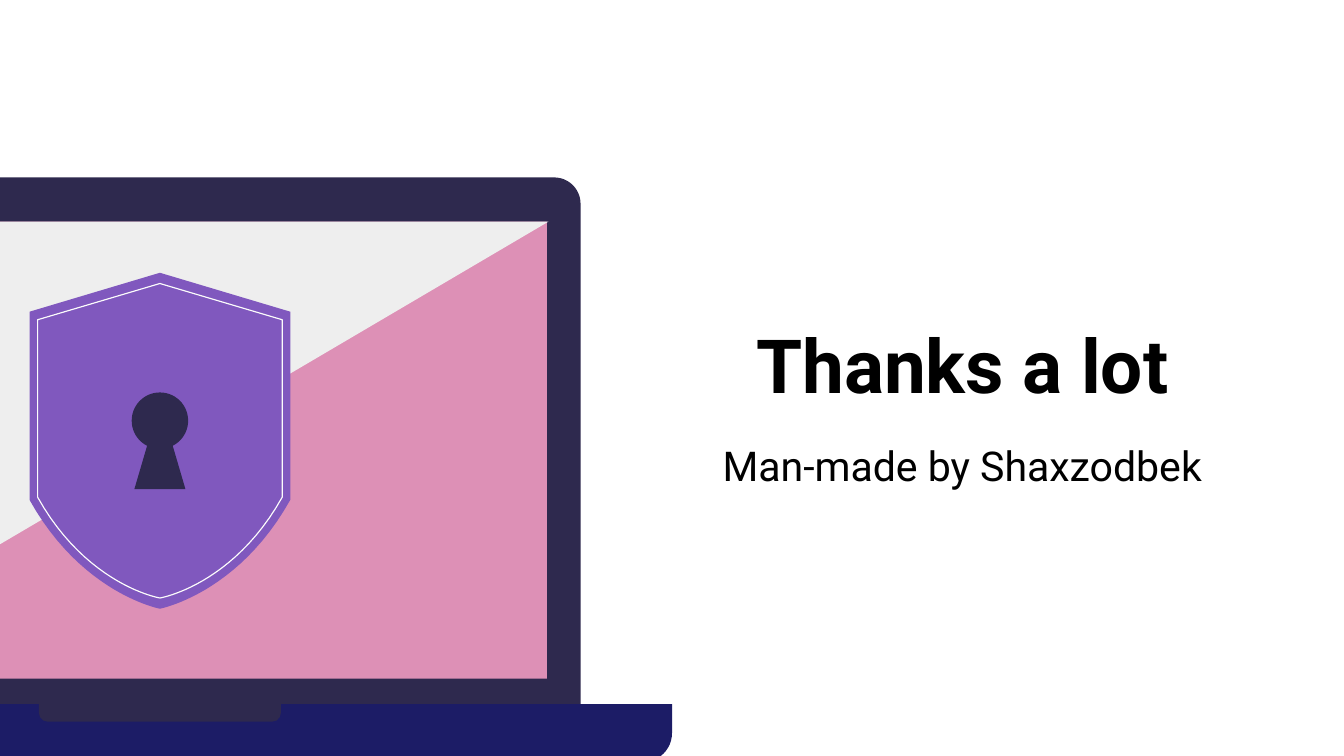
from dataclasses import dataclass
from math import cos, radians, sin

from pptx import Presentation
from pptx.dml.color import RGBColor
from pptx.enum.shapes import MSO_SHAPE as Preset
from pptx.enum.text import MSO_ANCHOR as Anchor, MSO_AUTO_SIZE as AutoSize, PP_ALIGN as Align
from pptx.util import Inches, Pt

Point = tuple[float, float]


@dataclass(frozen=True)
class Theme:
    font: str = "Roboto"
    title_size: float = 40
    subtitle_size: float = 22
    text: str = "000000"
    dark: str = "2E294E"
    base: str = "1C1C66"
    screen: str = "DD90B6"
    glare: str = "EEEEEE"
    shield: str = "8058BE"
    rim: str = "FCFCFC"
    rim_width: float = 0.61


@dataclass(frozen=True)
class Panel:
    preset: Preset
    left: float
    top: float
    width: float
    height: float
    color: str
    rounding: tuple[float, ...] = ()


@dataclass(frozen=True)
class Outline:
    points: list[Point]
    fill: str | None = None
    line: str | None = None


THEME = Theme()
SHIELD_CENTER = 1.19
CURVE_STEPS = 24


def write_text(box, text: str, *, at: tuple[float, ...], size: float,
               bold: bool = False, anchor: Anchor = Anchor.TOP) -> None:
    box.left, box.top, box.width, box.height = (Inches(length) for length in at)
    frame = box.text_frame
    frame.auto_size = AutoSize.NONE
    frame.word_wrap = True
    frame.vertical_anchor = anchor
    frame.margin_left = frame.margin_right = Inches(0.1)
    frame.margin_top = frame.margin_bottom = Inches(0.1)
    para = frame.paragraphs[0]
    para.alignment = Align.CENTER
    para.space_before = Pt(0)
    span = para.add_run()
    span.text = text
    span.font.name = THEME.font
    span.font.size = Pt(size)
    span.font.bold = bold
    span.font.color.rgb = RGBColor.from_string(THEME.text)


def paint(shape, fill: str | None, line: str | None = None) -> None:
    shape.shadow.inherit = False
    if fill:
        shape.fill.solid()
        shape.fill.fore_color.rgb = RGBColor.from_string(fill)
    else:
        shape.fill.background()
    if line:
        shape.line.color.rgb = RGBColor.from_string(line)
        shape.line.width = Pt(THEME.rim_width)
    else:
        shape.line.fill.background()


def draw_panel(page, panel: Panel) -> None:
    lengths = (panel.left, panel.top, panel.width, panel.height)
    shape = page.shapes.add_shape(panel.preset, *(Inches(length) for length in lengths))
    for index, amount in enumerate(panel.rounding):
        shape.adjustments[index] = amount
    paint(shape, panel.color)


def draw_outline(page, outline: Outline) -> None:
    start, *rest = [(Inches(x), Inches(y)) for x, y in outline.points]
    builder = page.shapes.build_freeform(*start)
    builder.add_line_segments(rest, close=True)
    paint(builder.convert_to_shape(), outline.fill, outline.line)


def curve(start: Point, control: Point, end: Point) -> list[Point]:
    points = []
    for step in range(CURVE_STEPS + 1):
        t = step / CURVE_STEPS
        weights = ((1 - t) ** 3, 3 * t * (1 - t) ** 2, 3 * t ** 2 * (1 - t) + t ** 3)
        x, y = (sum(w * p[axis] for w, p in zip(weights, (start, control, end)))
                for axis in (0, 1))
        points.append((x, y))
    return points


def shield_points(half: float, peak: float, shoulder: float, waist: float,
                  control: Point, tip: float) -> list[Point]:
    center = SHIELD_CENTER
    left = [(center, peak), (center - half, shoulder)]
    left += curve((center - half, waist), (center - control[0], control[1]), (center, tip))
    right = [(2 * center - x, y) for x, y in reversed(left[1:-1])]
    return left + right


def keyhole_points(middle: float, radius: float, foot: float, half_foot: float) -> list[Point]:
    opening = 27
    sweep = 360 - 2 * opening
    angles = [radians(opening + sweep * step / 48) for step in range(49)]
    arc = [(SHIELD_CENTER + radius * sin(a), middle + radius * cos(a)) for a in angles]
    return arc + [(SHIELD_CENTER - half_foot, foot), (SHIELD_CENTER + half_foot, foot)]


def main() -> None:
    deck = Presentation()
    deck.slide_width = Inches(10)
    deck.slide_height = deck.slide_width * 9 // 16
    page = deck.slides.add_slide(deck.slide_layouts[0])

    write_text(page.shapes.title, "Thanks a lot", at=(5.21, 1.58, 3.9, 1.56),
               size=THEME.title_size, bold=True, anchor=Anchor.BOTTOM)
    write_text(page.placeholders[1], "Man-made by Shaxzodbek", at=(5.21, 3.18, 3.9, 0.87),
               size=THEME.subtitle_size)

    rounded = Preset.ROUND_2_SAME_RECTANGLE
    laptop = [
        Panel(rounded, -1.95, 1.32, 6.27, 3.92, THEME.dark, (0.05, 0)),
        Panel(Preset.RECTANGLE, -1.7, 1.65, 5.77, 3.4, THEME.screen),
        Panel(rounded, -2.62, 5.24, 7.62, 0.43, THEME.base, (0, 0.5)),
        Panel(rounded, 0.29, 5.24, 1.8, 0.13, THEME.dark, (0, 0.5)),
    ]
    for panel in laptop:
        draw_panel(page, panel)

    emblem = [
        Outline([(-1.7, 1.65), (-1.7, 5.05), (4.08, 1.65)], fill=THEME.glare),
        Outline(shield_points(0.97, 2.03, 2.32, 3.72, (0.58, 4.42), 4.53), fill=THEME.shield),
        Outline(shield_points(0.91, 2.11, 2.38, 3.7, (0.54, 4.36), 4.45), line=THEME.rim),
        Outline(keyhole_points(3.13, 0.21, 3.64, 0.19), fill=THEME.dark),
    ]
    for outline in emblem:
        draw_outline(page, outline)

    deck.save("out.pptx")


if __name__ == "__main__":
    main()
